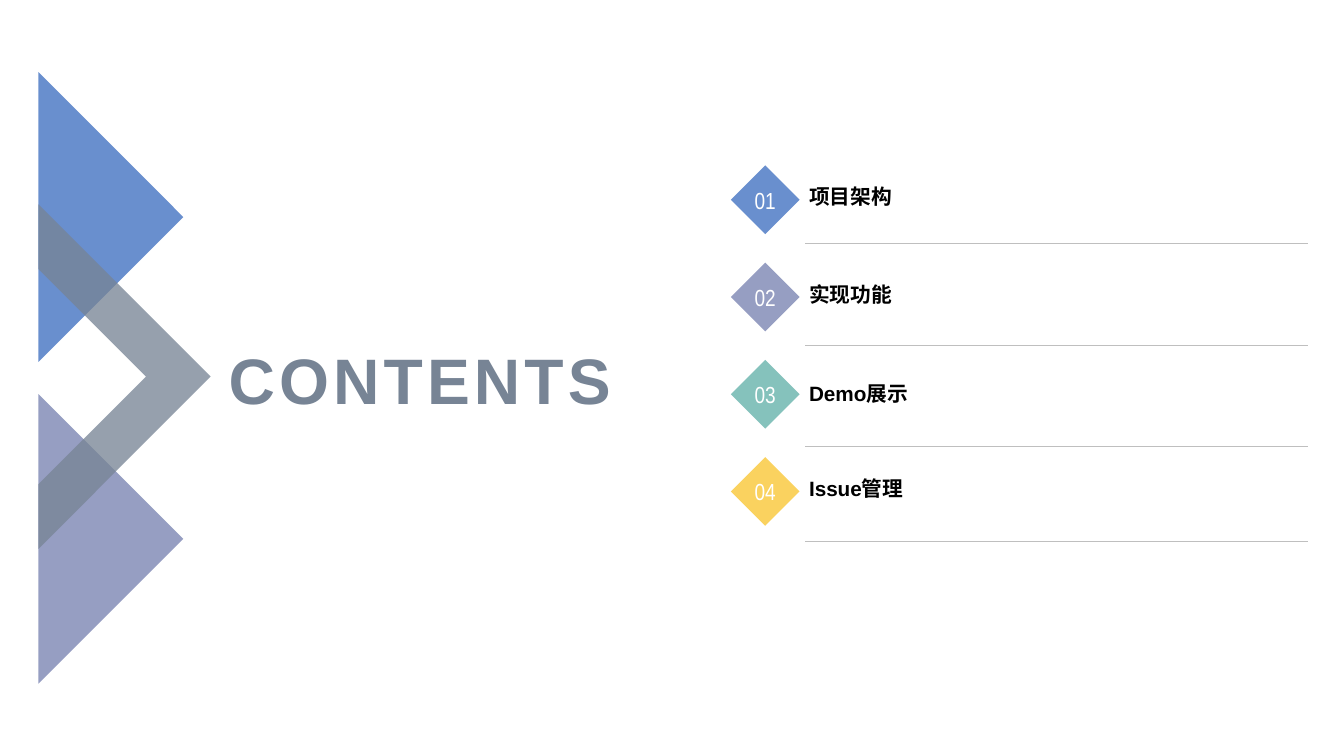
from dataclasses import dataclass

import pptx
import pptx.dml.color
import pptx.enum.shapes
import pptx.enum.text
import pptx.oxml.ns
import pptx.util
from lxml import etree

Cm, Pt = pptx.util.Cm, pptx.util.Pt
qn = pptx.oxml.ns.qn
ALIGN = pptx.enum.text.PP_ALIGN
ANCHOR = pptx.enum.text.MSO_ANCHOR
SHAPE = pptx.enum.shapes.MSO_SHAPE

BLUE, PURPLE, TEAL, YELLOW = "698FCE", "969EC2", "85C2BC", "FAD25F"
SLATE, GREY, BLACK, WHITE = "778495", "BFBFBF", "000000", "FFFFFF"

EDGE = 0.97
TRIANGLE = 3.65
DIAMOND = 1.73
DIAMOND_LEFT, DIAMOND_TOP, DIAMOND_STEP = 18.42, 4.17, 2.45
LABEL_LEFT, LABEL_WIDTH, LABEL_HEIGHT = 20.14, 11.0, 0.84
RULE_LEFT, RULE_RIGHT = 20.29, 32.97


@dataclass
class Topic:
    title: str
    color: str
    label_top: float
    rule_y: float


TOPICS = [
    Topic("项目架构", BLUE, 4.55, 6.12),
    Topic("实现功能", PURPLE, 7.01, 8.69),
    Topic("Demo展示", TEAL, 9.5, 11.25),
    Topic("Issue管理", YELLOW, 11.91, 13.64),
]


def rgb(color: str):
    return pptx.dml.color.RGBColor.from_string(color)


def paint(sp, color: str, alpha: int = 100) -> None:
    """Fill a shape without outline or shadow; alpha is opacity in percent."""
    sp.shadow.inherit = False
    sp.line.fill.background()
    sp.fill.solid()
    sp.fill.fore_color.rgb = rgb(color)
    if alpha < 100:
        clr = sp.fill._xPr.find(".//" + qn("a:srgbClr"))
        etree.SubElement(clr, qn("a:alpha")).set("val", str(alpha * 1000))


def write(sp, text: str, *, size: float, color: str, font: str = "Arial",
          bold: bool = False, align=ALIGN.LEFT, anchor=ANCHOR.MIDDLE,
          wrap: bool = True, spacing: float = 0) -> None:
    tf = sp.text_frame
    tf.word_wrap = wrap
    tf.vertical_anchor = anchor
    p = tf.paragraphs[0]
    p.alignment = align
    r = p.add_run()
    r.text = text
    r.font.size, r.font.name, r.font.bold = Pt(size), font, bold
    r.font.color.rgb = rgb(color)
    if spacing:
        r._r.get_or_add_rPr().set("spc", str(int(spacing * 100)))


def add_polygon(s, points: list[tuple[float, float]], color: str, alpha: int = 100) -> None:
    start, *rest = [(Cm(x), Cm(y)) for x, y in points]
    builder = s.shapes.build_freeform(*start)
    builder.add_line_segments(rest, close=True)
    paint(builder.convert_to_shape(), color, alpha)


def add_triangle(s, top: float, color: str) -> None:
    add_polygon(s, [(EDGE, top), (EDGE + TRIANGLE, top + TRIANGLE),
                    (EDGE, top + 2 * TRIANGLE)], color)


def add_chevron(s, mid: float, outer: float, inner: float) -> None:
    add_polygon(s, [(EDGE, mid - outer), (EDGE + outer, mid), (EDGE, mid + outer),
                    (EDGE, mid + inner), (EDGE + inner, mid), (EDGE, mid - inner)],
                SLATE, alpha=77)


def add_rule(s, y: float) -> None:
    line = s.shapes.add_connector(pptx.enum.shapes.MSO_CONNECTOR.STRAIGHT,
                                  Cm(RULE_LEFT), Cm(y), Cm(RULE_RIGHT), Cm(y))
    line.line.color.rgb = rgb(GREY)
    line.line.width = Pt(0.25)
    etree.SubElement(line._element.spPr, qn("a:effectLst"))


def add_topic(s, index: int, topic: Topic) -> None:
    sp = s.shapes.add_shape(SHAPE.DIAMOND, Cm(DIAMOND_LEFT),
                            Cm(DIAMOND_TOP + index * DIAMOND_STEP), Cm(DIAMOND), Cm(DIAMOND))
    paint(sp, topic.color)
    write(sp, f"{index + 1:02}", size=16.6, color=WHITE, font="Arial Narrow",
          align=ALIGN.CENTER, wrap=False)
    label = s.shapes.add_textbox(Cm(LABEL_LEFT), Cm(topic.label_top),
                                 Cm(LABEL_WIDTH), Cm(LABEL_HEIGHT))
    write(label, topic.title, size=14.8, color=BLACK, bold=True, anchor=ANCHOR.BOTTOM)
    add_rule(s, topic.rule_y)


def main() -> None:
    prs = pptx.Presentation()
    prs.slide_width, prs.slide_height = Cm(33.87), Cm(19.05)
    s = prs.slides.add_slide(prs.slide_layouts[6])

    add_triangle(s, 9.93, PURPLE)
    add_triangle(s, 1.82, BLUE)
    add_chevron(s, mid=9.49, outer=4.34, inner=2.71)

    heading = s.shapes.add_textbox(Cm(5.26), Cm(8.26), Cm(10.39), Cm(2.57))
    write(heading, "CONTENTS", size=45.9, color=SLATE, bold=True,
          align=ALIGN.RIGHT, spacing=3)

    for index, topic in enumerate(TOPICS):
        add_topic(s, index, topic)

    prs.save("out.pptx")


if __name__ == "__main__":
    main()
